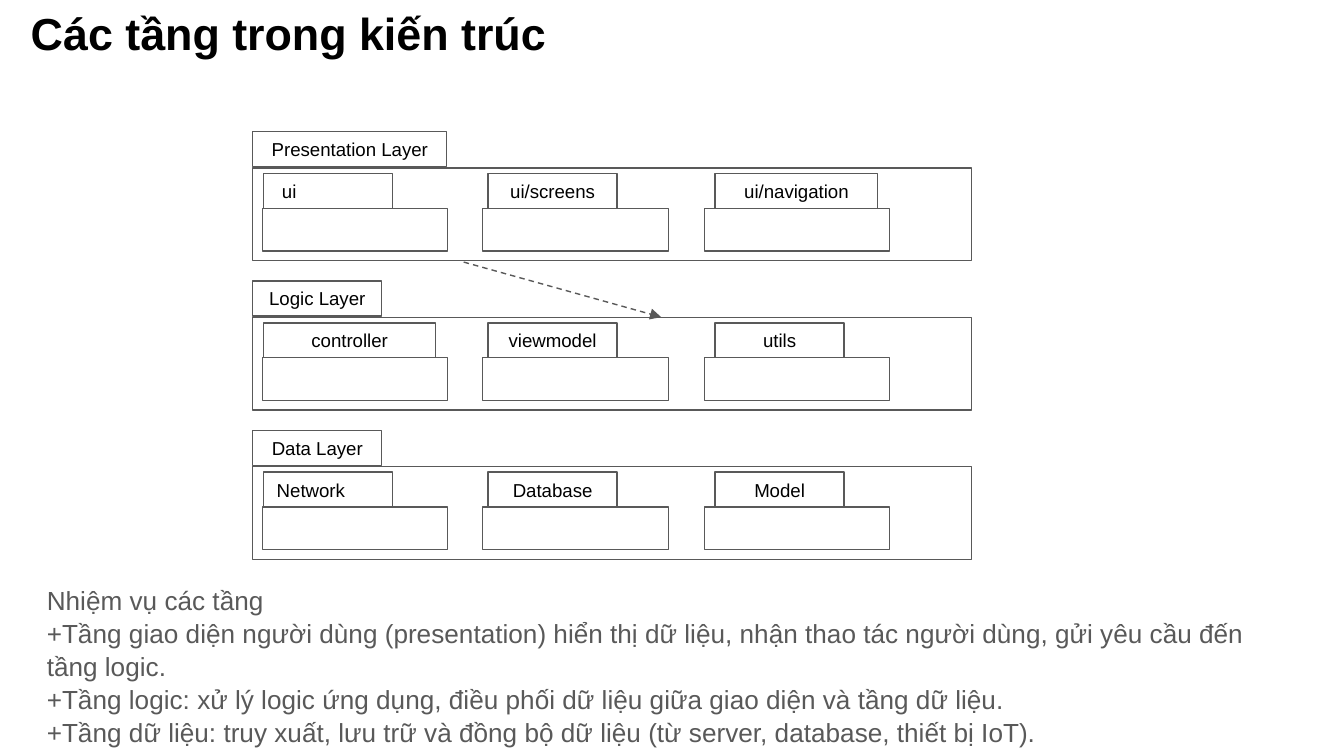
from dataclasses import dataclass

from lxml.etree import SubElement
from pptx import Presentation
from pptx.dml.color import RGBColor
from pptx.enum.dml import MSO_LINE
from pptx.enum.shapes import MSO_CONNECTOR, MSO_SHAPE
from pptx.enum.text import MSO_ANCHOR, PP_ALIGN
from pptx.oxml.ns import qn
from pptx.util import Pt


@dataclass(frozen=True)
class Theme:
    face: str = "Arial"
    ink: RGBColor = RGBColor(0, 0, 0)
    gray: RGBColor = RGBColor(0x59, 0x59, 0x59)
    paper: RGBColor = RGBColor(255, 255, 255)
    title: float = 24
    body: float = 14
    label: float = 10
    rule: float = 0.75
    inset: float = 7.2


THEME = Theme()
PITCH = 80  # from one layer to the next
TAB_H = 18.72
TAB_W = 69.12
LEFT, MID = PP_ALIGN.LEFT, PP_ALIGN.CENTER

# Each layer: name, tab width, then its packages (name, tab width, alignment)
LAYERS = [
    ("Presentation Layer", 103.9, [
        (" ui", TAB_W, LEFT), ("ui/screens", TAB_W, MID),
        ("ui/navigation", 87.1, MID)]),
    ("Logic Layer", TAB_W, [
        ("controller", 92.2, MID), ("viewmodel", TAB_W, MID),
        ("utils", TAB_W, MID)]),
    ("Data Layer", TAB_W, [
        ("Network", TAB_W, LEFT), ("Database", TAB_W, MID),
        ("Model", TAB_W, MID)]),
]
# Left edges of tab and body for each column of packages
COLUMNS = [(5.8, 5.1), (126.1, 123.2), (247.7, 241.9)]

TASKS = [
    "Nhiệm vụ các tầng",
    "+Tầng giao diện người dùng (presentation) hiển thị dữ liệu, "
    "nhận thao tác người dùng, gửi yêu cầu đến tầng logic.",
    "+Tầng logic: xử lý logic ứng dụng, điều phối dữ liệu giữa giao diện "
    "và tầng dữ liệu.",
    "+Tầng dữ liệu: truy xuất, lưu trữ và đồng bộ dữ liệu "
    "(từ server, database, thiết bị IoT).",
]


def fill_text(frame, lines, size, color, bold=False, align=LEFT, space=1.0):
    frame.word_wrap = True
    frame.margin_left = frame.margin_right = Pt(THEME.inset)
    frame.margin_top = frame.margin_bottom = Pt(THEME.inset)
    for i, line in enumerate(lines):
        para = frame.paragraphs[0] if i == 0 else frame.add_paragraph()
        para.text = line
        para.alignment = align
        para.line_spacing = space
        font = para.font
        font.name, font.size, font.bold = THEME.face, Pt(size), bold
        font.color.rgb = color


def add_box(slide, x, y, w, h, text=None, align=MID):
    box = slide.shapes.add_shape(
        MSO_SHAPE.RECTANGLE, Pt(x), Pt(y), Pt(w), Pt(h))
    box.shadow.inherit = False
    box.fill.solid()
    box.fill.fore_color.rgb = THEME.paper
    box.line.color.rgb = THEME.gray
    box.line.width = Pt(THEME.rule)
    if text:
        box.text_frame.vertical_anchor = MSO_ANCHOR.MIDDLE
        fill_text(box.text_frame, [text], THEME.label, THEME.ink, align=align)


def add_layer(slide, x, y, w, layer):
    name, width, parts = layer
    add_box(slide, x, y + 19.4, w, 49.7)
    for (tab, body), (part, size, align) in zip(COLUMNS, parts):
        add_box(slide, x + tab, y + 22.4, size, TAB_H, part, align)
        add_box(slide, x + body, y + 41, 99.4, 23)
    add_box(slide, x, y, width, TAB_H, name)


def add_arrow(slide, x, y, w, h):
    arrow = slide.shapes.add_connector(
        MSO_CONNECTOR.STRAIGHT, Pt(x), Pt(y), Pt(x + w), Pt(y + h))
    arrow.line.color.rgb = THEME.gray
    arrow.line.width = Pt(THEME.rule)
    arrow.line.dash_style = MSO_LINE.DASH
    SubElement(arrow.line._get_or_add_ln(), qn("a:tailEnd"), type="triangle")
    SubElement(arrow._element.spPr, qn("a:effectLst"))


def add_text(slide, x, y, w, h, lines, size, color, **style):
    box = slide.shapes.add_textbox(Pt(x), Pt(y), Pt(w), Pt(h))
    fill_text(box.text_frame, lines, size, color, **style)


def main():
    deck = Presentation()
    deck.slide_width, deck.slide_height = Pt(720), Pt(405)
    slide = deck.slides.add_slide(deck.slide_layouts[6])

    # Layer diagram
    for i, layer in enumerate(LAYERS):
        add_layer(slide, 135.4, 70.6 + i * PITCH, 385.2, layer)
    add_arrow(slide, 248.4, 140.4, 105.8, 29.5)

    # Title and task list
    add_text(slide, 9.4, -4.3, 708.5, 74.2, ["Các tầng trong kiến trúc"],
             THEME.title, THEME.ink, bold=True)
    add_text(slide, 18, 305.3, 684, 100, TASKS, THEME.body, THEME.gray,
             space=1.05)
    deck.save("out.pptx")


if __name__ == "__main__":
    main()
